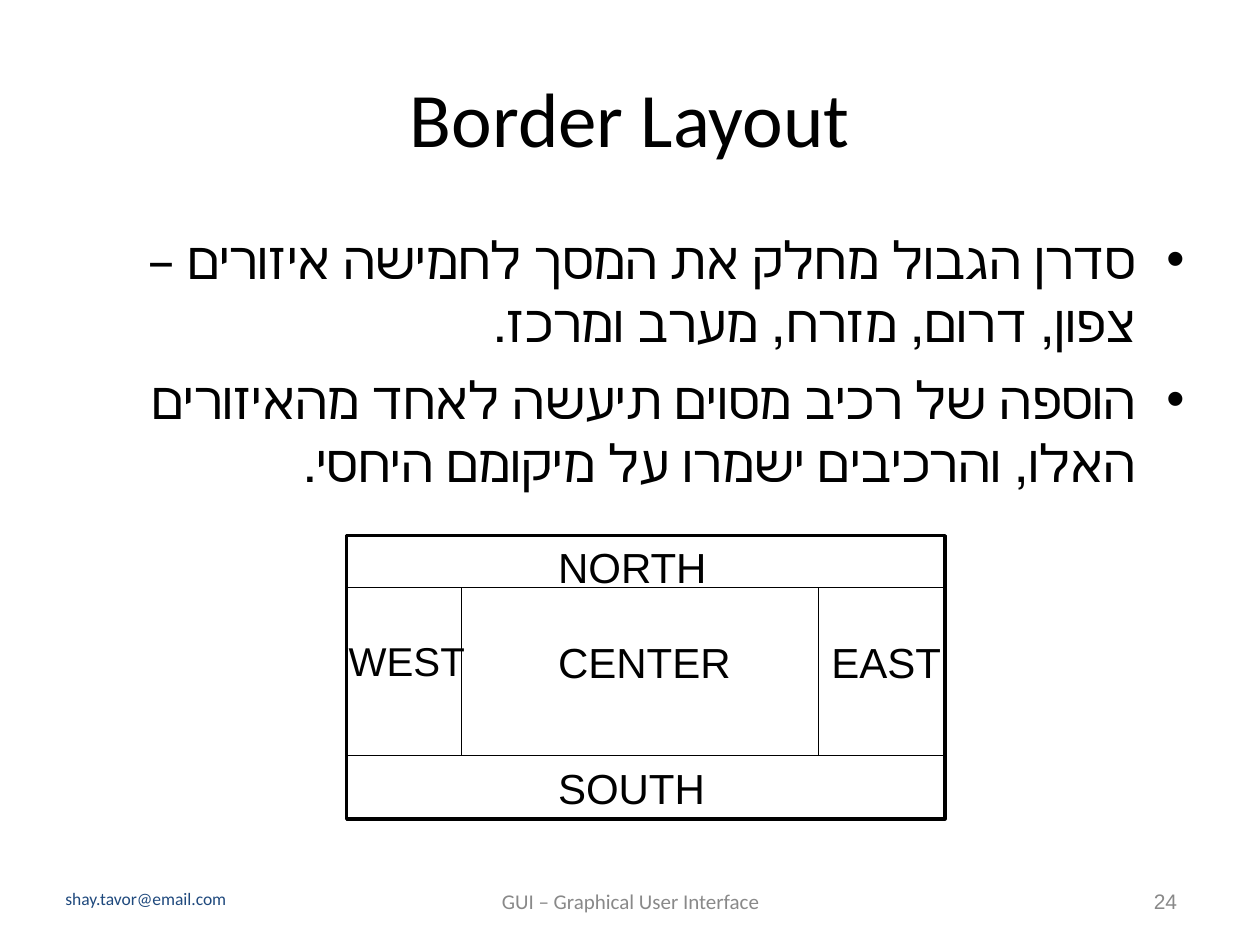
"""Build a slide that explains the five regions of the border layout."""
from lxml.etree import SubElement
from pptx import Presentation
from pptx.dml.color import RGBColor
from pptx.enum.shapes import MSO_CONNECTOR as Connector, MSO_SHAPE as Shape
from pptx.enum.text import MSO_ANCHOR as Anchor, PP_ALIGN as Align
from pptx.oxml.ns import qn
from pptx.util import Cm, Pt

COLORS = {"ink": "000000", "paper": "FFFFFF", "email": "1F497D", "footer": "898989"}

deck = Presentation()
deck.slide_width, deck.slide_height = Cm(25.4), Cm(19.05)
page = deck.slides.add_slide(deck.slide_layouts[6])


def add_text(lines, left, top, width, height, size, font="Calibri", color="ink",
             align=Align.LEFT, anchor=Anchor.TOP, rtl=False, complex_font=None):
    box = page.shapes.add_textbox(Cm(left), Cm(top), Cm(width), Cm(height))
    frame = box.text_frame
    frame.word_wrap = True
    frame.vertical_anchor = anchor
    frame.text = "\n".join(lines)
    for para in frame.paragraphs:
        para.alignment = align
        if rtl:
            para._p.get_or_add_pPr().set("rtl", "1")
        for span in para.runs:
            span.font.size = Pt(size)
            span.font.name = font
            span.font.color.rgb = RGBColor.from_string(COLORS[color])
            if complex_font:
                SubElement(span._r.get_or_add_rPr(), qn("a:cs"), typeface=complex_font)
    return frame


add_text(["Border Layout"], 1.27, 0.76, 22.86, 3.18, 44,
         align=Align.CENTER, anchor=Anchor.MIDDLE, rtl=True)

points = [
    "סדרן הגבול מחלק את המסך לחמישה איזורים – צפון, דרום, מזרח, מערב ומרכז.",
    "הוספה של רכיב מסוים תיעשה לאחד מהאיזורים האלו, והרכיבים ישמרו על מיקומם היחסי.",
]
body = add_text(points, 1.27, 4.45, 22.86, 6.55, 29.6, align=Align.RIGHT, rtl=True)
for para in body.paragraphs:
    para.line_spacing = Pt(36)
    para.space_before = Pt(8)
    properties = para._p.get_or_add_pPr()
    properties.set("marR", "0")
    properties.set("marL", str(Cm(0.95)))
    properties.set("indent", str(-Cm(0.95)))
    SubElement(properties, qn("a:buFont"), typeface="Arial")
    SubElement(properties, qn("a:buChar"), char="•")

left, top, right, bottom = 6.99, 10.8, 19.05, 16.51
north, south, west, east = 11.85, 15.23, 9.31, 16.5
window = page.shapes.add_shape(Shape.RECTANGLE, Cm(left), Cm(top),
                               Cm(right - left), Cm(bottom - top))
window.shadow.inherit = False
window.fill.solid()
window.fill.fore_color.rgb = RGBColor.from_string(COLORS["paper"])
window.line.color.rgb = RGBColor.from_string(COLORS["ink"])
window.line.width = Pt(2)

dividers = [
    (left, north, right, north),
    (left, south, right, south),
    (west, north, west, south),
    (east, north, east, south),
]
for ends in dividers:
    divider = page.shapes.add_connector(Connector.STRAIGHT, *map(Cm, ends))
    divider.line.color.rgb = RGBColor.from_string(COLORS["ink"])
    divider.line.width = Pt(0.75)
    SubElement(divider._element.spPr, qn("a:effectLst"))

regions = [
    ("NORTH", 11, 10.8, 4.24, 24),
    ("CENTER", 11, 12.7, 4.24, 24),
    ("EAST", 16.51, 12.7, 3.18, 24),
    ("WEST", 6.78, 12.7, 3.6, 23),
    ("SOUTH", 11, 15.24, 4.24, 24),
]
for name, x, y, width, size in regions:
    add_text([name], x, y, width, 1.27, size, font="Arial")

add_text(["shay.tavor@email.com"], 1.07, 17.78, 7.14, 0.69, 10, color="email")
add_text(["GUI – Graphical User Interface"], 8.69, 17.65, 8.05, 1.02, 12, color="footer",
         align=Align.CENTER, anchor=Anchor.MIDDLE, rtl=True)
add_text(["24"], 23.01, 17.65, 1.12, 1.02, 12, color="footer",
         anchor=Anchor.MIDDLE, rtl=True, complex_font="Arial")

deck.save("out.pptx")
